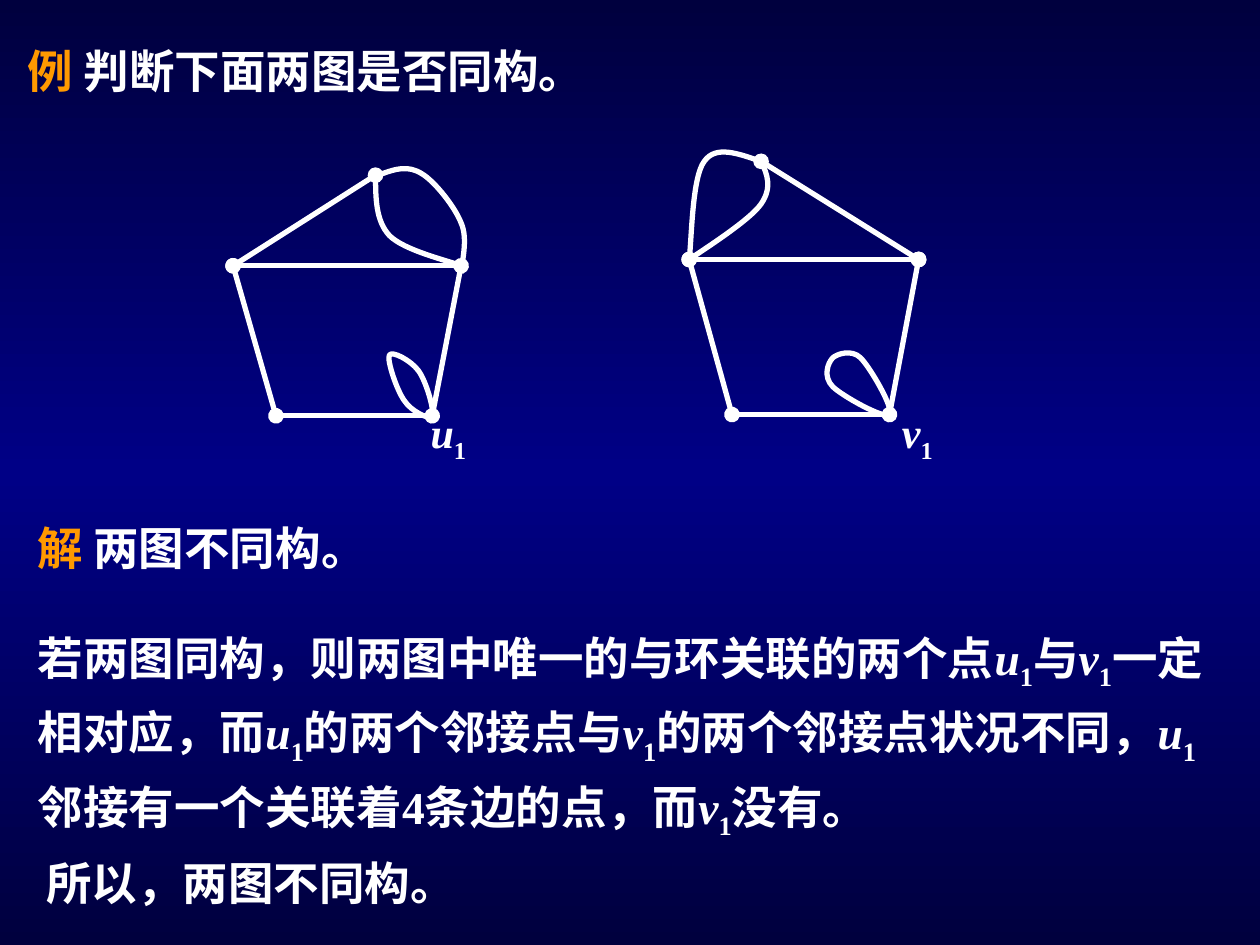
"""Build a slide that tests whether two graphs are isomorphic."""
from copy import deepcopy

from lxml import etree
from pptx import Presentation
from pptx.dml.color import RGBColor
from pptx.enum.shapes import MSO_CONNECTOR
from pptx.enum.text import MSO_ANCHOR, MSO_AUTO_SIZE, PP_ALIGN
from pptx.oxml.ns import qn
from pptx.util import Pt

STRAIGHT = MSO_CONNECTOR.STRAIGHT
TOP = MSO_ANCHOR.TOP
GROW = MSO_AUTO_SIZE.SHAPE_TO_FIT_TEXT
LEFT = PP_ALIGN.LEFT

WHITE = RGBColor(0xFF, 0xFF, 0xFF)
ORANGE = RGBColor(0xFF, 0x99, 0x00)
NAVY = RGBColor(0x00, 0x00, 0x3E)
BLUE = RGBColor(0x00, 0x00, 0x86)

CHINESE_FONT = "Noto Sans CJK SC"
LATIN_FONT = "Times New Roman"
CHINESE = {"name": CHINESE_FONT}
ACCENT = {"name": CHINESE_FONT, "color": ORANGE}
LATIN = {"name": LATIN_FONT}
VARIABLE = {"name": LATIN_FONT, "italic": True}
SUBSCRIPT = {"name": LATIN_FONT, "baseline": "-25000"}
U1 = [("u", VARIABLE), ("1", SUBSCRIPT)]
V1 = [("v", VARIABLE), ("1", SUBSCRIPT)]

GRAPHS = [
    {
        "vertices": {
            "top": (214.6, 100.1), "left": (133.2, 151.9),
            "right": (263.5, 151.9), "lower left": (157.7, 237.6),
            "lower right": (247, 237.6),
        },
        "dotted": [("top", "left"), ("left", "lower left"),
                   ("right", "lower right")],
        "plain": [("left", "right"), ("lower left", "lower right")],
        "curves": [
            [(214.6, 100.1), (214.6, 113), (214.6, 126), (222.5, 134.6),
             (231.1, 143.3), (256.3, 149), (263.5, 151.9)],
            [(218.2, 99.4), (226.1, 96.5), (233.3, 94.3), (241.2, 99.4),
             (248.4, 103.7), (259.9, 118.1), (263.5, 127.4),
             (267.8, 136.8), (263.5, 151.2), (263.5, 156.2)],
        ],
        "loop": [(247, 237.6), (245.5, 240.5), (234.7, 234.7), (231.1, 229),
                 (226.8, 223.2), (221, 205.9), (222.5, 203), (223.9, 200.2),
                 (234.7, 205.9), (239, 211.7), (243.4, 217.4),
                 (248.4, 234.7), (247, 237.6)],
        "label": (U1, (239, 229, 42, 40)),
    },
    {
        "vertices": {
            "top": (434.9, 92.2), "left": (393.8, 148.3),
            "right": (524.9, 148.3), "lower left": (418.3, 236.9),
            "lower right": (508.3, 236.9),
        },
        "dotted": [("left", "right"), ("top", "right"),
                   ("left", "lower left"), ("right", "lower right")],
        "plain": [("lower left", "lower right")],
        "curves": [
            [(434.9, 92.2), (421.9, 87.8), (409, 82.8), (402.5, 92.2),
             (395.3, 101.5), (395.3, 139), (393.8, 148.3)],
            [(434.9, 92.2), (438.5, 99.4), (441.4, 107.3), (434.9, 116.6),
             (428.4, 126), (401, 143.3), (393.8, 148.3)],
        ],
        "loop": [(508.3, 236.9), (505.4, 239.8), (481, 226.1), (475.9, 221),
                 (470.2, 215.3), (473, 207.4), (475.9, 204.5),
                 (478.1, 202.3), (486.7, 199.4), (491.8, 204.5),
                 (497.5, 210.2), (511.2, 234), (508.3, 236.9)],
        "label": (V1, (508.3, 229, 67, 40)),
    },
]

EXPLANATION = [
    ("若两图同构，则两图中唯一的与环关联的两个点", CHINESE), *U1,
    ("与", CHINESE), *V1, ("一定相对应，而", CHINESE), *U1,
    ("的两个邻接点与", CHINESE), *V1,
    ("的两个邻接点状况不同，", CHINESE), *U1,
    ("邻接有一个关联着", CHINESE), ("4条边的", LATIN),
    ("点，而", CHINESE), *V1, ("没有。", CHINESE),
]


class SlideBuilder:
    """Hold the shared style and add elements to the current slide."""

    line_width = Pt(3)

    def __init__(self, presentation):
        self.slide = presentation.slides.add_slide(presentation.slide_layouts[5])
        self.shapes = self.slide.shapes

    def background(self, colors):
        fill = self.slide.background.fill
        fill.gradient()
        fill.gradient_angle = 90
        stop_list = next(self.slide.element.iter(qn("a:gsLst")))
        stop_list.append(deepcopy(stop_list[0]))
        for index, (stop, color) in enumerate(zip(fill.gradient_stops, colors)):
            stop.color.rgb = color
            stop.position = index / (len(colors) - 1)

    def format_text(self, shape, runs, size=26, spacing=1.2):
        frame = shape.text_frame
        frame_format = {"word_wrap": True, "auto_size": GROW,
                        "vertical_anchor": TOP}
        for name, value in frame_format.items():
            setattr(frame, name, value)
        paragraph = frame.paragraphs[0]
        paragraph.alignment = LEFT
        paragraph.line_spacing = spacing
        for text, style in runs:
            self.add_run(paragraph, text, size, style)

    def add_run(self, paragraph, text, size, style):
        run = paragraph.add_run()
        run.text = text
        run.font.color.rgb = style.get("color", WHITE)
        font_format = {"name": style["name"], "size": Pt(size), "bold": True,
                       "italic": style.get("italic", False)}
        for name, value in font_format.items():
            setattr(run.font, name, value)
        properties = run.font._element
        etree.SubElement(properties, qn("a:ea"), typeface=CHINESE_FONT)
        if "baseline" in style:
            properties.set("baseline", style["baseline"])

    def title(self, box, runs):
        shape = self.slide.shapes.title
        shape.left, shape.top, shape.width, shape.height = map(Pt, box)
        self.format_text(shape, runs)

    def text(self, box, runs, **options):
        shape = self.shapes.add_textbox(*map(Pt, box))
        self.format_text(shape, runs, **options)

    def outline(self, shape):
        shape.line.color.rgb = WHITE
        shape.line.width = self.line_width

    def edge(self, start, end, dotted):
        connector = self.shapes.add_connector(STRAIGHT, *map(Pt, start + end))
        self.outline(connector)
        properties = connector.element.spPr
        etree.SubElement(properties, qn("a:effectLst"))
        if dotted:
            line = properties.find(qn("a:ln"))
            for name in ("a:headEnd", "a:tailEnd"):
                etree.SubElement(line, qn(name), type="oval")

    def curve(self, points, closed=False):
        start, *others = [(Pt(x), Pt(y)) for x, y in points]
        builder = self.shapes.build_freeform(*start)
        builder.add_line_segments(others, close=closed)
        shape = builder.convert_to_shape()
        shape.shadow.inherit = False
        shape.fill.background()
        self.outline(shape)
        segments = list(shape.element.iter(qn("a:lnTo")))
        for first, second, third in zip(*[iter(segments)] * 3):
            first.tag = qn("a:cubicBezTo")
            for segment in (second, third):
                first.append(segment[0])
                segment.getparent().remove(segment)

    def graph(self, vertices, dotted, plain, curves, loop, label):
        self.shapes = self.slide.shapes.add_group_shape().shapes
        for pairs, has_dots in ((dotted, True), (plain, False)):
            for start, end in pairs:
                self.edge(vertices[start], vertices[end], has_dots)
        for points in curves:
            self.curve(points)
        self.curve(loop, closed=True)
        runs, box = label
        self.text(box, runs, size=24, spacing=1)
        self.shapes = self.slide.shapes


def main():
    presentation = Presentation()
    presentation.slide_width, presentation.slide_height = Pt(720), Pt(540)
    builder = SlideBuilder(presentation)
    builder.background([NAVY, BLUE, NAVY])
    builder.title((8.6, 15, 648, 44.6),
                  [("例 ", ACCENT), ("判断下面两图是否同构。", CHINESE)])
    for graph in GRAPHS:
        builder.graph(**graph)
    builder.text((14.4, 287.3, 648, 44.6),
                 [("解 ", ACCENT), ("两图不同构。", CHINESE)])
    builder.text((14.4, 349.2, 694.8, 135.4), EXPLANATION)
    builder.text((19.4, 485.3, 295, 39), [("所以，两图不同构。", LATIN)], spacing=1)
    presentation.save("out.pptx")


if __name__ == "__main__":
    main()
